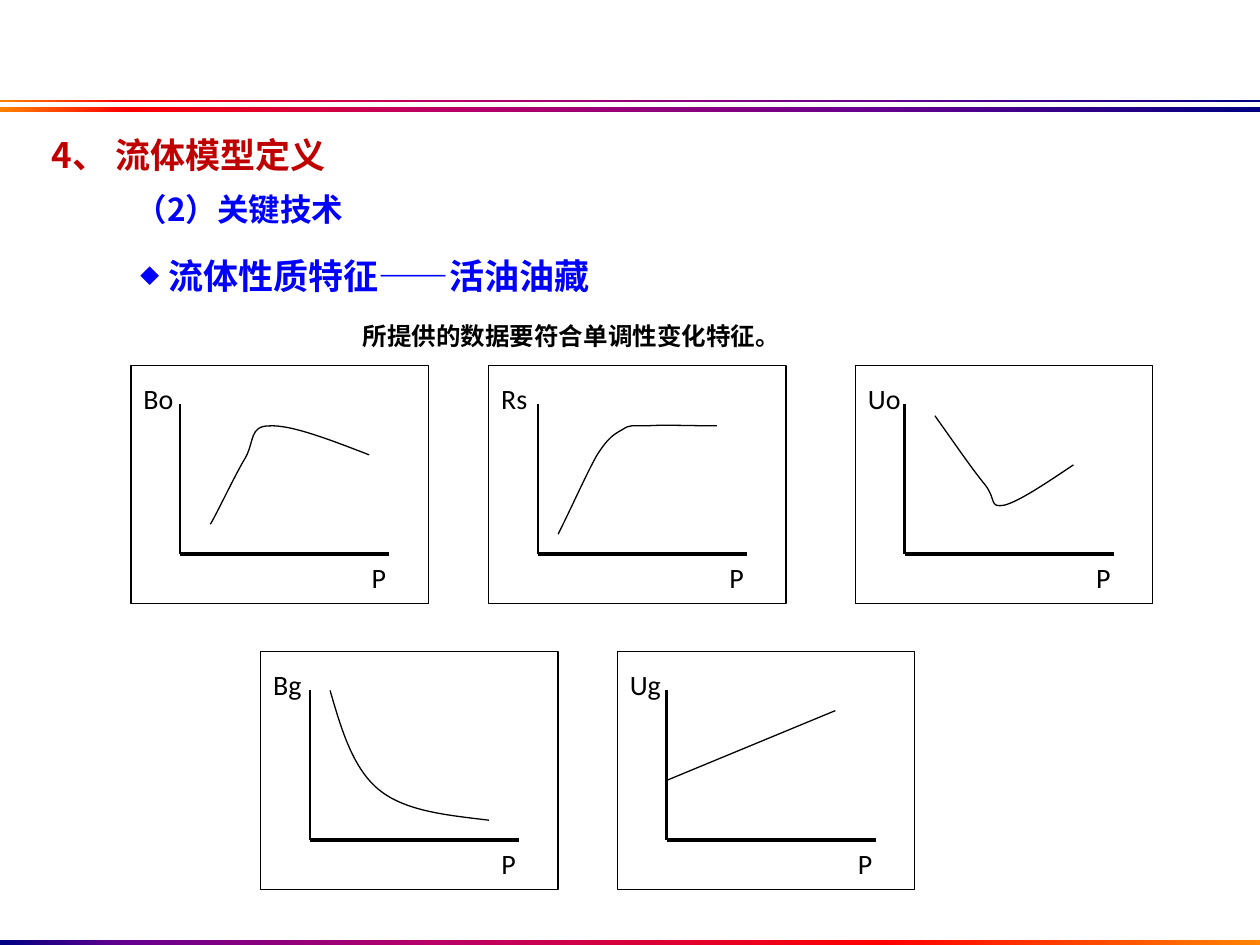
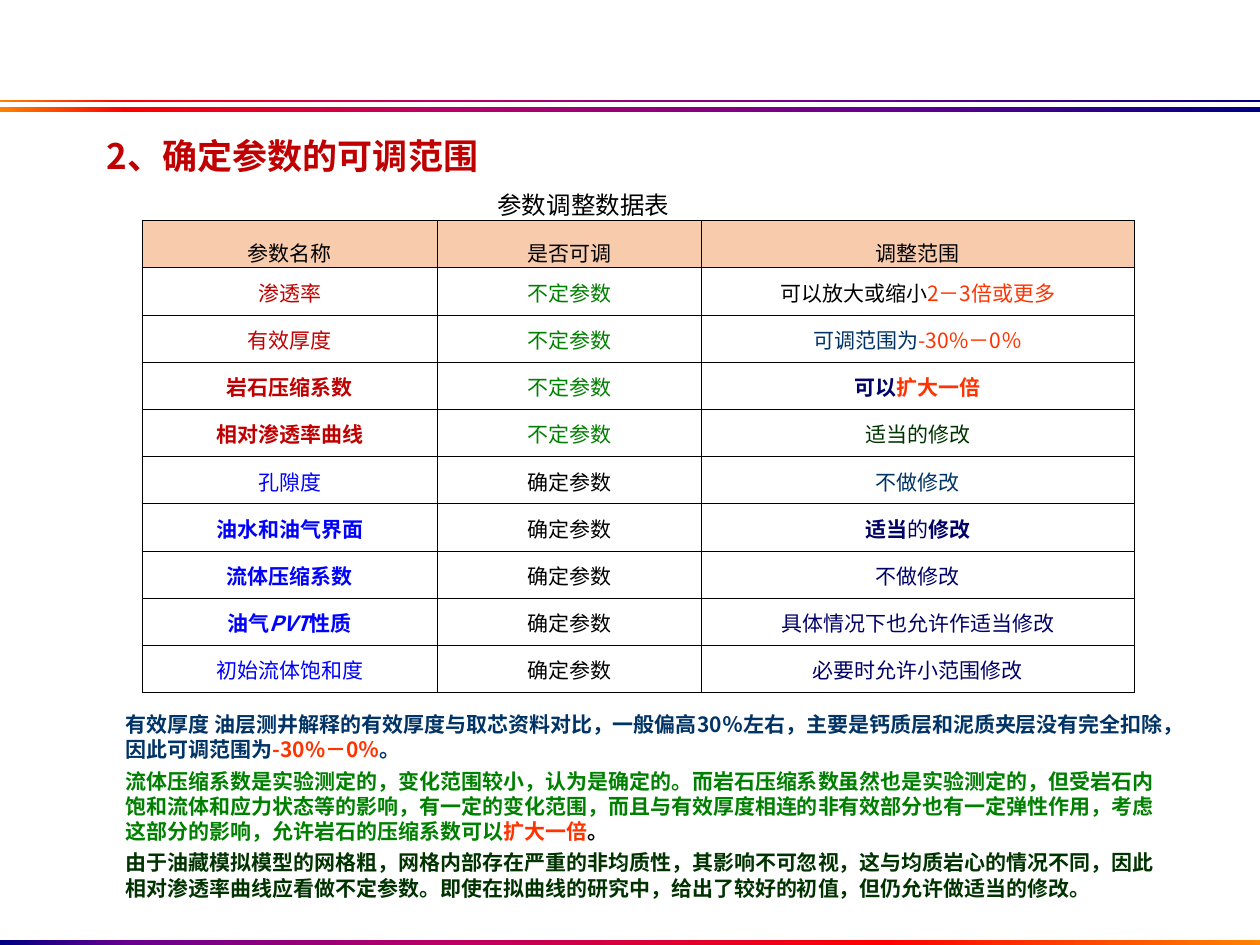
from dataclasses import dataclass

from lxml import etree
from pptx import Presentation
from pptx.dml.color import RGBColor
from pptx.enum.shapes import MSO_CONNECTOR, MSO_SHAPE
from pptx.enum.text import MSO_ANCHOR, PP_ALIGN
from pptx.oxml.ns import qn
from pptx.util import Inches, Pt

STRAIGHT = MSO_CONNECTOR.STRAIGHT
RECTANGLE = MSO_SHAPE.RECTANGLE
TOP, MIDDLE, BOTTOM = MSO_ANCHOR.TOP, MSO_ANCHOR.MIDDLE, MSO_ANCHOR.BOTTOM
CENTER = PP_ALIGN.CENTER


@dataclass(frozen=True)
class Theme:
    cjk: str = "Noto Sans CJK SC"
    latin: str = "Calibri"
    black: str = "000000"
    white: str = "FFFFFF"
    red: str = "C00000"
    blue: str = "0000FF"
    green: str = "008000"
    orange: str = "FF3300"
    steel: str = "003366"
    navy: str = "000066"
    forest: str = "003300"
    peach: str = "F8CBAD"
    band: tuple = ("FF8200", "FF0000", "BA0066", "66008F", "000082")
    band_stops: tuple = (0, 10, 35, 70, 100)
    title: int = 20
    subtitle: int = 18
    label: int = 16
    caption: int = 14
    body: int = 12


THEME = Theme()

# Bands on every slide: top, height, colours
BANDS = [
    (7.46, 0.06, THEME.band[::-1]),
    (0.85, 0.04, THEME.band),
    (0.79, 0.02, THEME.band),
]

# Fluid curves: label, panel corner, start point, Bezier segments (from the corner)
PANELS = [
    ("Bo", (1.04, 2.9), (0.63, 1.26), [
        (0.68, 1.18, 0.83, 0.86, 0.91, 0.73),
        (0.98, 0.6, 0.94, 0.48, 1.1, 0.48),
        (1.27, 0.47, 1.58, 0.59, 1.89, 0.71)]),
    ("Bg", (2.07, 5.17), (0.55, 0.31), [
        (0.64, 0.62, 0.73, 0.93, 0.94, 1.1),
        (1.15, 1.27, 1.48, 1.3, 1.81, 1.34)]),
    ("Rs", (3.88, 2.9), (0.55, 1.34), [
        (0.67, 1.1, 0.78, 0.85, 0.86, 0.71),
        (0.95, 0.57, 0.99, 0.55, 1.06, 0.51),
        (1.12, 0.47, 1.13, 0.48, 1.26, 0.48),
        (1.38, 0.47, 1.6, 0.48, 1.81, 0.48)]),
    ("Uo", (6.79, 2.9), (0.63, 0.4), [
        (0.78, 0.61, 0.93, 0.83, 1.03, 0.95),
        (1.12, 1.07, 1.06, 1.13, 1.18, 1.11),
        (1.3, 1.08, 1.52, 0.93, 1.73, 0.79)]),
    ("Ug", (4.9, 5.17), (0.4, 1.02), [(1.73, 0.47)]),
]
PANEL_SIZE = (2.36, 1.89)
AXIS_LEFT, AXIS_TOP, AXIS_BOTTOM, AXIS_RIGHT = 0.39, 0.31, 1.5, 2.05

# Parameter table: each cell is a list of runs (text, colour, bold, italic)
UNCERTAIN = [("不定参数", THEME.green)]
CERTAIN = [("确定参数", THEME.black)]
HEADER = ["参数名称", "是否可调", "调整范围"]
PARAMETERS = [
    ([("渗透率", THEME.red)], UNCERTAIN,
     [("可以放大或缩小", THEME.black), ("2－3倍或更多", THEME.orange)]),
    ([("有效厚度", THEME.red)], UNCERTAIN,
     [("可调范围为", THEME.steel), ("-30%－0％", THEME.orange)]),
    ([("岩石压缩系数", THEME.red, True)], UNCERTAIN,
     [("可以", THEME.navy, True), ("扩大一倍", THEME.orange, True)]),
    ([("相对渗透率曲线", THEME.red, True)], UNCERTAIN, [("适当的修改", THEME.forest)]),
    ([("孔隙度", THEME.blue)], CERTAIN, [("不做修改", THEME.steel)]),
    ([("油水和油气界面", THEME.blue, True)], CERTAIN,
     [("适当", THEME.navy, True), ("的", THEME.navy), ("修改", THEME.navy, True)]),
    ([("流体压缩系数", THEME.blue, True)], CERTAIN, [("不做修改", THEME.navy)]),
    ([("油气", THEME.blue, True), ("PVT", THEME.blue, True, True),
      ("性质", THEME.blue, True)], CERTAIN, [("具体情况下也允许作适当修改", THEME.navy)]),
    ([("初始流体饱和度", THEME.blue)], CERTAIN, [("必要时允许小范围修改", THEME.navy)]),
]
COLUMN_WIDTHS = [2.34, 2.1, 3.43]
TABLE_HEIGHT = 3.75

NOTES = [
    [("有效厚度 油层测井解释的有效厚度与取芯资料对比，一般偏高30％左右，主要是钙质层和泥质夹层"
      "没有完全扣除，因此可调范围为", THEME.steel, True),
     ("-30%－0％", THEME.orange, True), ("。", THEME.steel, True)],
    [("流体压缩系数是实验测定的，变化范围较小，认为是确定的。而岩石压缩系数虽然也是实验测定的，"
      "但受岩石内饱和流体和应力状态等的影响，有一定的变化范围，而且与有效厚度相连的非有效部分也有"
      "一定弹性作用，考虑这部分的影响，允许岩石的压缩系数可以", THEME.green, True),
     ("扩大一倍", THEME.orange, True), ("。", THEME.black, True)],
    [("由于油藏模拟模型的网格粗，网格内部存在严重的非均质性，其影响不可忽视，这与均质岩心的情况"
      "不同，因此相对渗透率曲线应看做不定参数。即使在拟曲线的研究中，给出了较好的初值，但仍允许做"
      "适当的修改。", THEME.forest, True)],
]


def rgb(color):
    return RGBColor.from_string(color)


# Text helpers
def add_run(paragraph, size, font, text, color, bold=False, italic=False):
    run = paragraph.add_run()
    run.text = text
    run.font.size = Pt(size)
    run.font.bold, run.font.italic = bold, italic
    run.font.color.rgb = rgb(color)
    run.font.name = font
    etree.SubElement(run.font._element, qn("a:ea")).set("typeface", THEME.cjk)


def fill_text(frame, paragraphs, size, font=THEME.cjk):
    for index, runs in enumerate(paragraphs):
        paragraph = frame.add_paragraph() if index else frame.paragraphs[0]
        if index:
            paragraph.space_before = Pt(3.5)
        for run in runs:
            add_run(paragraph, size, font, *run)


def add_text(slide, box, paragraphs, size, font=THEME.cjk, wrap=True, anchor=TOP):
    frame = slide.shapes.add_textbox(*map(Inches, box)).text_frame
    frame.word_wrap = wrap
    frame.vertical_anchor = anchor
    fill_text(frame, paragraphs, size, font)
    return frame.paragraphs[0]


def add_bullet(paragraph, character, margin, hanging):
    properties = paragraph._p.get_or_add_pPr()
    properties.set("marL", str(Inches(margin)))
    properties.set("indent", str(-Inches(hanging)))
    etree.SubElement(properties, qn("a:buSzPct")).set("val", "55000")
    etree.SubElement(properties, qn("a:buFont")).set("typeface", THEME.cjk)
    etree.SubElement(properties, qn("a:buChar")).set("char", character)


# Drawing helpers
def set_outline(shape, width):
    shape.line.color.rgb = rgb(THEME.black)
    shape.line.width = Pt(width)


def add_line(slide, start, end, width):
    line = slide.shapes.add_connector(STRAIGHT, *map(Inches, (*start, *end)))
    set_outline(line, width)
    etree.SubElement(line._element.spPr, qn("a:effectLst"))


def add_band(slide, top, height, colors):
    band = slide.shapes.add_shape(RECTANGLE, 0, Inches(top), Inches(10), Inches(height))
    band.shadow.inherit = False
    band.line.fill.background()
    band.fill.gradient()
    band.fill.gradient_angle = 0
    stops = band._element.spPr.find(qn("a:gradFill")).find(qn("a:gsLst"))
    for stop in list(stops):
        stops.remove(stop)
    for position, color in zip(THEME.band_stops, colors):
        stop = etree.SubElement(stops, qn("a:gs"), pos=str(position * 1000))
        etree.SubElement(stop, qn("a:srgbClr"), val=color)


def add_curve(slide, start, points):
    """Draw a Bezier curve; every three points make one segment."""
    builder = slide.shapes.build_freeform(*map(Inches, start))
    builder.add_line_segments([tuple(map(Inches, point)) for point in points], close=False)
    curve = builder.convert_to_shape()
    curve.shadow.inherit = False
    curve.fill.background()
    set_outline(curve, 0.75)
    lines = list(curve._element.iter(qn("a:lnTo")))
    outline = lines[0].getparent()
    for index in range(0, len(lines), 3):
        segment = etree.SubElement(outline, qn("a:cubicBezTo"))
        for line in lines[index:index + 3]:
            segment.append(line[0])
            outline.remove(line)


def add_panel(slide, label, corner, start, segments):
    def place(x, y):
        return corner[0] + x, corner[1] + y

    frame = slide.shapes.add_shape(RECTANGLE, *map(Inches, (*corner, *PANEL_SIZE)))
    frame.shadow.inherit = False
    frame.fill.solid()
    frame.fill.fore_color.rgb = rgb(THEME.white)
    set_outline(frame, 0.75)

    # Axes and their labels
    origin = place(AXIS_LEFT, AXIS_BOTTOM)
    add_line(slide, place(AXIS_LEFT, AXIS_TOP), origin, 1.5)
    add_line(slide, origin, place(AXIS_RIGHT, AXIS_BOTTOM), 2.25)
    for text, spot, width in ((label, place(0, 0.08), 0.47),
                              ("P", place(1.81, AXIS_BOTTOM), 0.35)):
        add_text(slide, (*spot, width, 0.37), [[(text, THEME.black)]],
                 THEME.label, THEME.latin, wrap=False)

    # Curve, or a plain line when only an end point is given
    points = [place(*segment[index:index + 2])
              for segment in segments for index in range(0, len(segment), 2)]
    if len(points) == 1:
        add_line(slide, place(*start), points[0], 0.75)
    else:
        add_curve(slide, place(*start), points)


def style_cell(cell, runs, fill=None):
    cell.margin_left = cell.margin_right = cell.margin_top = Inches(0.01)
    cell.margin_bottom = 0
    cell.vertical_anchor = BOTTOM if fill else MIDDLE
    fill_text(cell.text_frame, [runs], THEME.body)
    cell.text_frame.paragraphs[0].alignment = CENTER
    properties = cell._tc.get_or_add_tcPr()
    for side in ("a:lnL", "a:lnR", "a:lnT", "a:lnB"):
        border = etree.SubElement(properties, qn(side), w=str(Pt(0.5)))
        solid = etree.SubElement(border, qn("a:solidFill"))
        etree.SubElement(solid, qn("a:srgbClr"), val=THEME.black)
    if fill:
        cell.fill.solid()
        cell.fill.fore_color.rgb = rgb(fill)
    else:
        cell.fill.background()


def new_slide(presentation):
    slide = presentation.slides.add_slide(presentation.slide_layouts[6])
    for band in BANDS:
        add_band(slide, *band)
    return slide


# Slides
def build_fluid_slide(presentation):
    slide = new_slide(presentation)
    heading = add_text(slide, (0.31, 0.97, 4.25, 0.55),
                       [[("4、 流体模型定义", THEME.red, True)]], THEME.title, anchor=MIDDLE)
    subheading = add_text(slide, (0.98, 1.4, 2.82, 0.55),
                          [[("（2）关键技术", THEME.blue, True)]], THEME.subtitle, anchor=MIDDLE)
    heading.line_spacing = subheading.line_spacing = 0.9
    topic = add_text(slide, (0.7, 1.97, 4.37, 0.44),
                     [[("流体性质特征——活油油藏", THEME.blue, True)]], THEME.title)
    add_bullet(topic, "◆", 0.54, 0.22)
    for panel in PANELS:
        add_panel(slide, *panel)
    add_text(slide, (2.78, 2.5, 3.54, 0.34),
             [[("所提供的数据要符合单调性变化特征。", THEME.black, True)]],
             THEME.caption, THEME.latin, wrap=False)


def build_parameter_slide(presentation):
    slide = new_slide(presentation)
    add_text(slide, (0.75, 1.02, 3.38, 0.44),
             [[("2、确定参数的可调范围", THEME.red, True)]], THEME.title)
    rows = [[[(text, THEME.black)] for text in HEADER], *PARAMETERS]
    table = slide.shapes.add_table(
        len(rows), len(HEADER), Inches(1.13), Inches(1.75),
        Inches(sum(COLUMN_WIDTHS)), Inches(TABLE_HEIGHT)).table
    for column, width in zip(table.columns, COLUMN_WIDTHS):
        column.width = Inches(width)
    for row_index, row in enumerate(rows):
        for column_index, runs in enumerate(row):
            style_cell(table.cell(row_index, column_index), runs,
                       None if row_index else THEME.peach)
    add_text(slide, (3.85, 1.46, 2.07, 0.34), [[("参数调整数据表", THEME.black)]], THEME.caption)
    add_text(slide, (0.9, 5.6, 8.44, 1.64), NOTES, THEME.body)


def main():
    presentation = Presentation()
    presentation.slide_width, presentation.slide_height = Inches(10), Inches(7.5)
    build_fluid_slide(presentation)
    build_parameter_slide(presentation)
    presentation.save("out.pptx")


if __name__ == "__main__":
    main()
